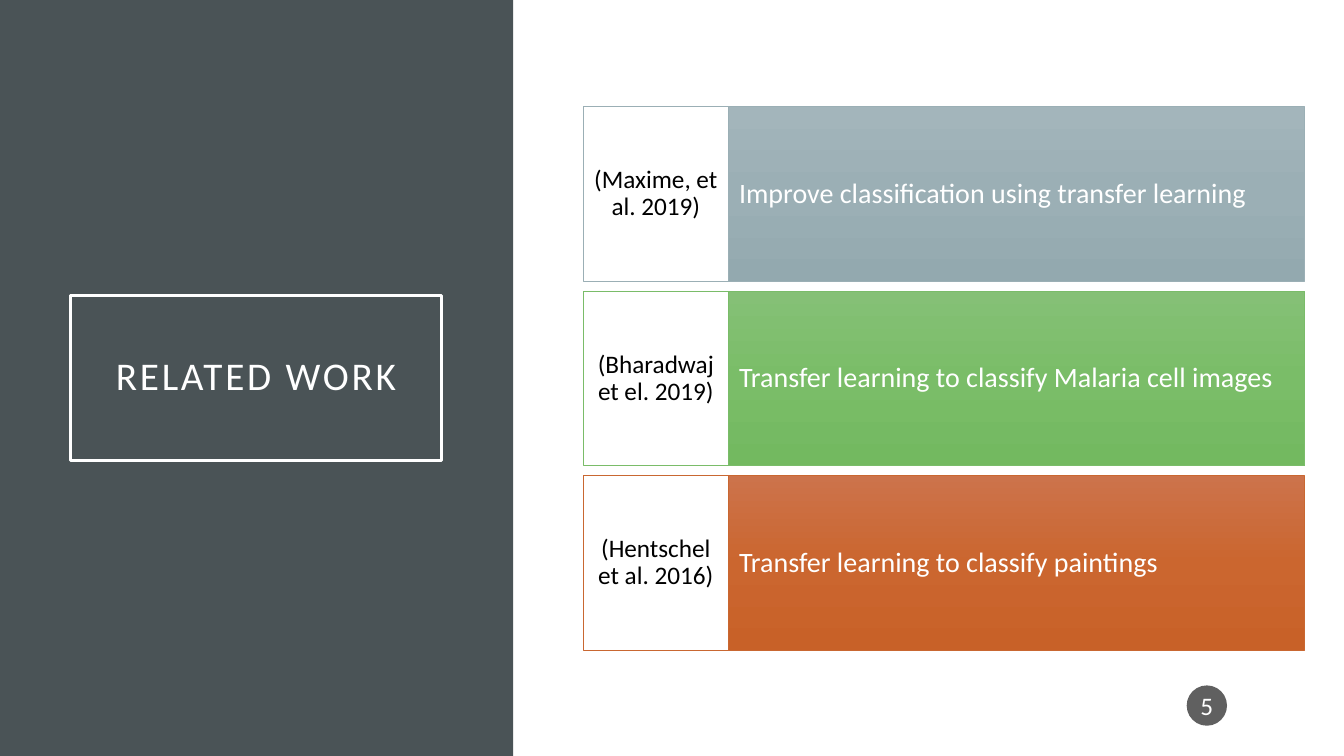
from copy import deepcopy
from lxml import etree
from pptx import Presentation
from pptx.dml.color import RGBColor
from pptx.enum.shapes import MSO_SHAPE
from pptx.enum.text import MSO_ANCHOR, PP_ALIGN
from pptx.oxml.ns import qn
from pptx.util import Inches, Pt

RECT, OVAL = MSO_SHAPE.RECTANGLE, MSO_SHAPE.OVAL
LEFT, MID = PP_ALIGN.LEFT, PP_ALIGN.CENTER
CENTER = MSO_ANCHOR.MIDDLE
WHITE, BLACK = "FFFFFF", "000000"


def color(code):
    return RGBColor.from_string(code)


def add_box(kind, area, fill=None, line=None, width=0.5, text="",
            size=18, ink=WHITE, align=MID, pad=(0, 0), lead=0.9):
    box = slide.shapes.add_shape(kind, *[Inches(n) for n in area])
    box.shadow.inherit = False
    if fill:
        box.fill.solid()
        box.fill.fore_color.rgb = color(fill)
    else:
        box.fill.background()
    if line:
        box.line.color.rgb = color(line)
        box.line.width = Pt(width)
    else:
        box.line.fill.background()
    if text:
        side, edge = [Inches(n) for n in pad]
        frame = box.text_frame
        para = frame.paragraphs[0]
        run = para.add_run()
        run.text = text
        run.font.color.rgb = color(ink)
        formats = (
            (frame, {"word_wrap": True, "vertical_anchor": CENTER,
                     "margin_left": side, "margin_right": side,
                     "margin_top": edge, "margin_bottom": edge}),
            (para, {"alignment": align, "line_spacing": lead}),
            (run.font, {"name": "Calibri", "size": Pt(size)}),
        )
        for item, values in formats:
            for key, value in values.items():
                setattr(item, key, value)
    return box


deck = Presentation()
deck.slide_width, deck.slide_height = Inches(13.33), Inches(7.5)
slide = deck.slides.add_slide(deck.slide_layouts[6])

add_box(RECT, (0, 0, 5.09, 7.5), "4A5356")
title = add_box(RECT, (0.7, 2.93, 3.68, 1.64), None, WHITE, 2.5,
                "RELATED WORK", 28, pad=(0.2, 0.2))
title.text_frame.paragraphs[0].runs[0].font._element.set("spc", "200")

left, top, unit, high, step = 5.79, 1.06, 1.43, 1.73, 1.83
papers = [
    ("(Maxime, et al. 2019)", "Improve classification using transfer learning",
     "9BAFB5", ("A3B5BB", "9BAFB5", "93A9AF")),
    ("(Bharadwaj et el. 2019)", "Transfer learning to classify Malaria cell images",
     "7ABC69", ("85C076", "7ABD68", "73B960")),
    ("(Hentschel et al. 2016)", "Transfer learning to classify paintings",
     "C96731", ("CC734B", "CB662F", "C86128")),
]
for row, (cite, topic, edge, shades) in enumerate(papers):
    y = top + row * step
    bar = add_box(RECT, (left + unit, y, 4 * unit, high), edge, edge,
                  text=topic, size=20, align=LEFT, pad=(0.11, 0.44))
    bar.fill.gradient()
    bar.fill.gradient_angle = 270
    stops = bar._element.spPr.find(qn("a:gradFill")).find(qn("a:gsLst"))
    stops.append(deepcopy(stops[-1]))
    for index, stop in enumerate(bar.fill.gradient_stops):
        stop.position = index / 2
        stop.color.rgb = color(shades[index])
    add_box(RECT, (left, y, unit, high), WHITE, edge,
            text=cite, ink=BLACK, pad=(0.08, 0.17))

badge = add_box(OVAL, (11.77, 6.8, 0.4, 0.4), "1D1D1D",
                text="5", pad=(0.02, 0.05), lead=1.0)
tint = badge._element.spPr.find(qn("a:solidFill"))[0]
etree.SubElement(tint, qn("a:alpha")).set("val", "70000")

deck.save("out.pptx")
